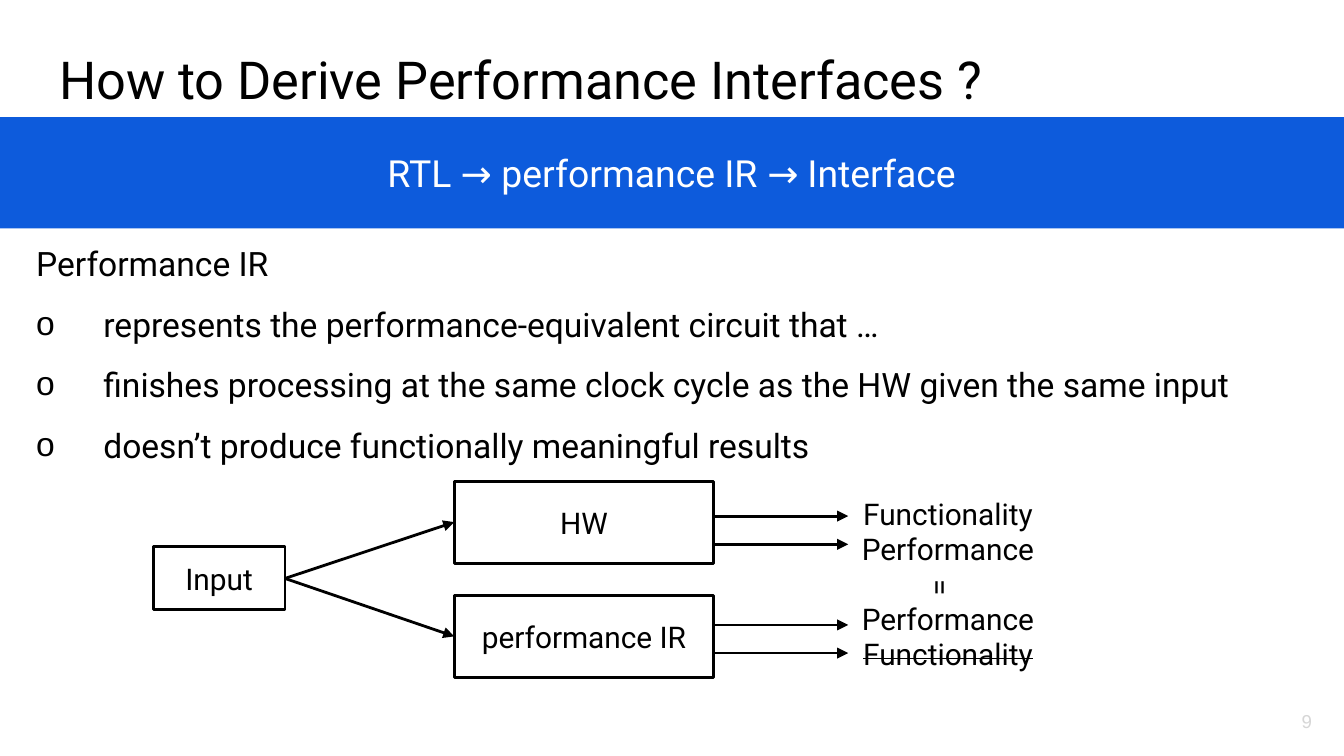
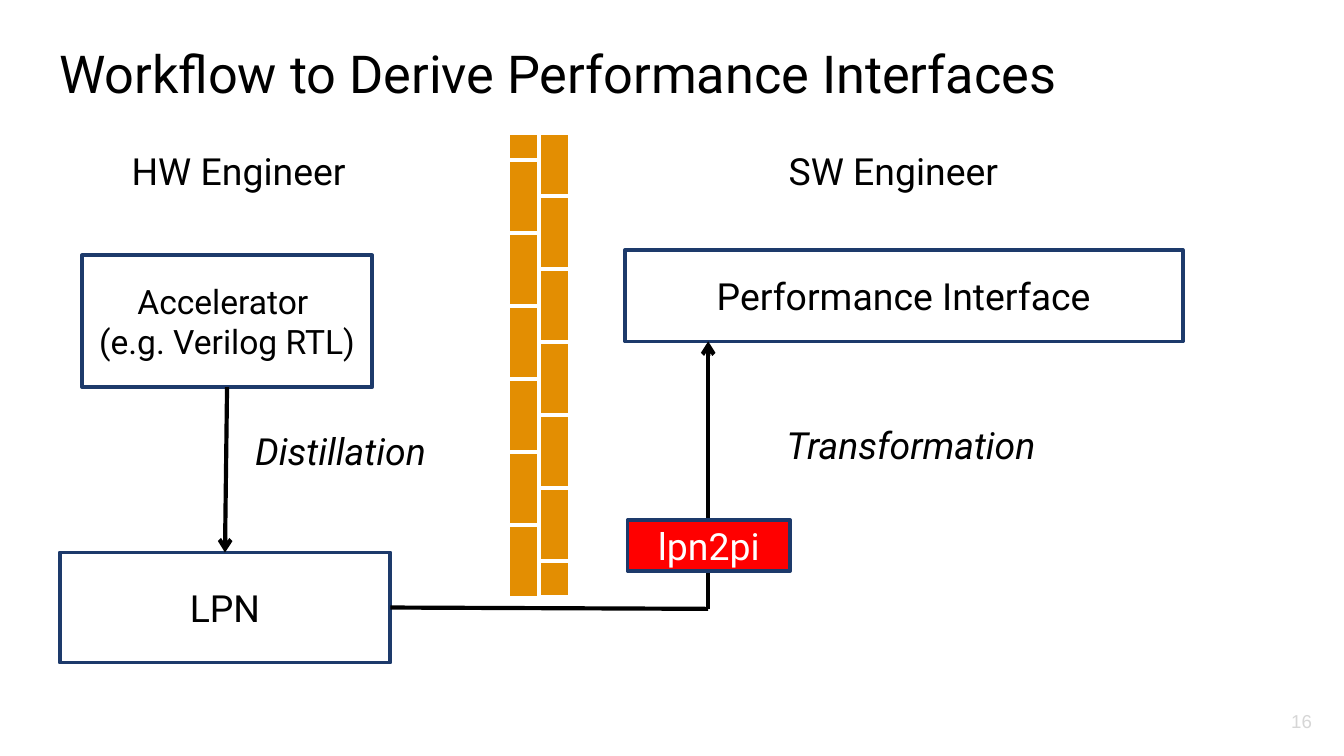
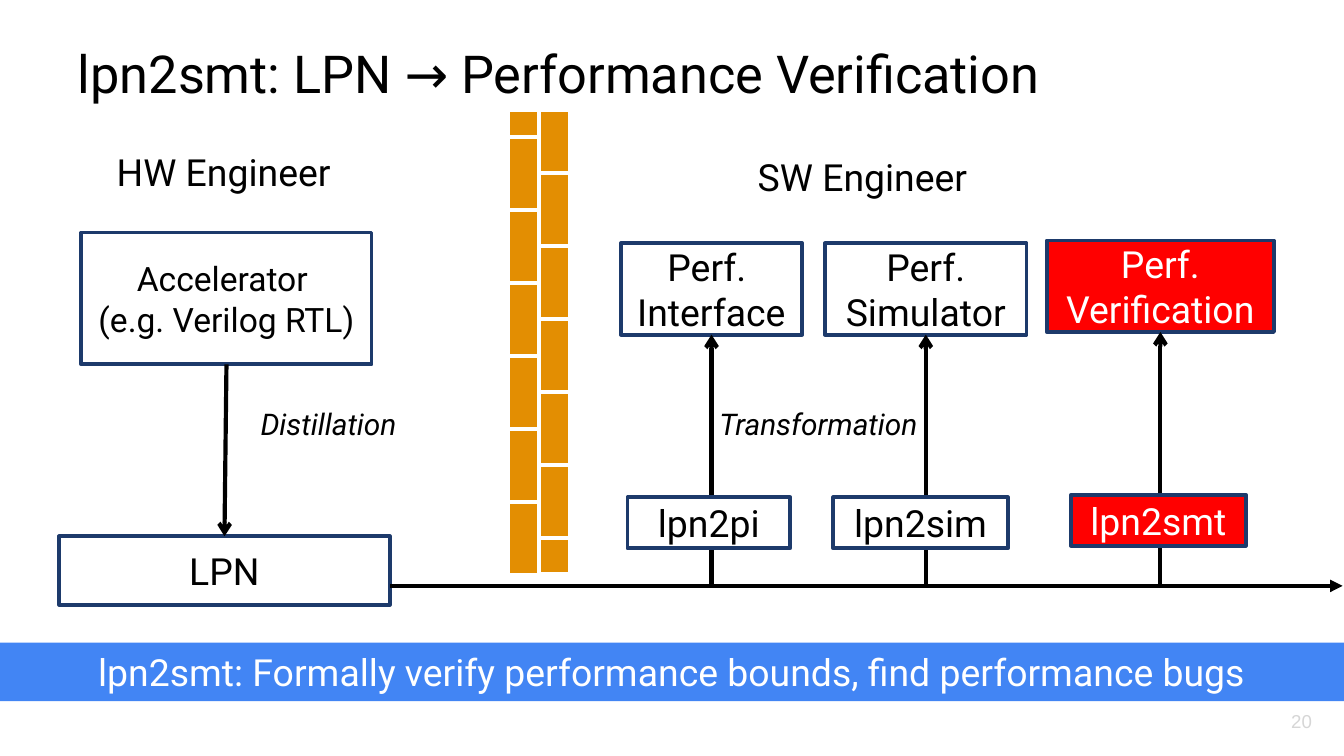
from dataclasses import dataclass

import lxml.etree
import pptx
import pptx.dml.color
import pptx.enum.shapes
import pptx.enum.text
import pptx.oxml.ns
import pptx.util

Pt = pptx.util.Pt
Align = pptx.enum.text.PP_ALIGN
Anchor = pptx.enum.text.MSO_ANCHOR
qn = pptx.oxml.ns.qn


@dataclass(frozen=True)
class Theme:
    font: str = "Roboto"
    number_font: str = "Arial"
    black: str = "000000"
    white: str = "FFFFFF"
    band: str = "0D5BDC"
    footer: str = "4285F4"
    outline: str = "1D3A6B"
    highlight: str = "FF0000"
    brick: str = "E38E02"
    number: str = "D6D6D6"
    title_size: float = 28
    large: float = 20
    body: float = 18
    small: float = 16
    number_size: float = 10
    thin: float = 1.5
    frame: float = 2
    thick: float = 2.25


THEME = Theme()
WIDE = (7.2, 7.2)
NORMAL = (7.2, 3.6)


@dataclass(frozen=True)
class Box:
    left: float
    top: float
    width: float
    height: float

    @property
    def right(self):
        return self.left + self.width

    @property
    def bottom(self):
        return self.top + self.height

    def inner(self, left, top, width, height):
        return Box(self.left + left, self.top + top, width, height)

    def lengths(self):
        return [Pt(value) for value in (self.left, self.top, self.width, self.height)]


def rgb(color):
    return pptx.dml.color.RGBColor.from_string(color)


def write(shape, text, size=THEME.large, color=THEME.black, font=THEME.font,
          align=Align.CENTER, anchor=Anchor.MIDDLE, margin=NORMAL, wrap=True,
          italic=False, strike=False):
    frame = shape.text_frame
    frame.auto_size = pptx.enum.text.MSO_AUTO_SIZE.NONE
    frame.word_wrap = wrap
    frame.vertical_anchor = anchor
    frame.margin_left = frame.margin_right = Pt(margin[0])
    frame.margin_top = frame.margin_bottom = Pt(margin[1])
    for index, line in enumerate(text.split("\n")):
        paragraph = frame.add_paragraph() if index else frame.paragraphs[0]
        paragraph.alignment = align
        paragraph.space_before = Pt(0)
        run = paragraph.add_run()
        run.text = line
        run.font.name = font
        run.font.size = Pt(size)
        run.font.color.rgb = rgb(color)
        run.font.italic = italic
        if strike:
            run._r.get_or_add_rPr().set("strike", "sngStrike")
    return shape


def add_label(slide, box, text, rotation=0, **text_format):
    shape = slide.shapes.add_textbox(*box.lengths())
    shape.rotation = rotation
    return write(shape, text, **{"anchor": Anchor.TOP, **text_format})


def add_box(slide, box, text="", fill=None, line=THEME.outline, weight=THEME.frame,
            **text_format):
    shape = slide.shapes.add_shape(
        pptx.enum.shapes.MSO_SHAPE.RECTANGLE, *box.lengths())
    shape.shadow.inherit = False
    if fill:
        shape.fill.solid()
        shape.fill.fore_color.rgb = rgb(fill)
    else:
        shape.fill.background()
    if line:
        shape.line.color.rgb = rgb(line)
        shape.line.width = Pt(weight)
    else:
        shape.line.fill.background()
    if text:
        write(shape, text, **text_format)
    return shape


def add_line(slide, start, end, weight=THEME.thick, head=None, source=None, target=None):
    connector = slide.shapes.add_connector(
        pptx.enum.shapes.MSO_CONNECTOR.STRAIGHT, *[Pt(value) for value in start + end])
    if source:
        connector.begin_connect(*source)
    if target:
        connector.end_connect(*target)
    connector.line.color.rgb = rgb(THEME.black)
    connector.line.width = Pt(weight)
    if head:
        lxml.etree.SubElement(connector.line._get_or_add_ln(), qn("a:tailEnd"), type=head)
    lxml.etree.SubElement(connector._element.spPr, qn("a:effectLst"))
    return connector


def place(shape, box):
    shape.left, shape.top, shape.width, shape.height = box.lengths()


def start_slide(presentation, layout, title, number, box, indent=0):
    slide = presentation.slides.add_slide(presentation.slide_layouts[layout])
    place(slide.shapes.title, box)
    write(slide.shapes.title, title, size=THEME.title_size, align=Align.LEFT,
          anchor=Anchor.TOP, margin=WIDE)
    slide.shapes.title.text_frame.margin_left = Pt(WIDE[0] + indent)
    add_label(slide, Box(665.3, 367.2, 44.6, 38.2), number, size=THEME.number_size,
              color=THEME.number, font=THEME.number_font, align=Align.RIGHT,
              anchor=Anchor.MIDDLE, margin=WIDE)
    return slide


def fill_list(shape, box, heading, items):
    place(shape, box)
    write(shape, "\n".join([heading, *items]), size=THEME.body, align=Align.LEFT,
          anchor=Anchor.TOP)
    for index, paragraph in enumerate(shape.text_frame.paragraphs):
        properties = paragraph._p.get_or_add_pPr()
        indent = Pt(36) if index else 0
        properties.set("marL", str(indent))
        properties.set("indent", str(-indent))
        if index:
            paragraph.line_spacing = 1.5
            color = lxml.etree.SubElement(properties, qn("a:buClr"))
            lxml.etree.SubElement(color, qn("a:srgbClr"), val=THEME.black)
            lxml.etree.SubElement(properties, qn("a:buFont"), typeface=THEME.number_font)
            lxml.etree.SubElement(properties, qn("a:buChar"), char="o")
        else:
            lxml.etree.SubElement(properties, qn("a:buNone"))


def equivalence_diagram(slide, box):
    style = {"line": THEME.black, "weight": THEME.thin, "size": THEME.small, "margin": WIDE}
    label_style = {"size": THEME.small, "margin": WIDE}
    input_box = add_box(slide, box.inner(0, 35.2, 70.6, 33.8), "Input", **style)
    circuits = (
        ("HW", 0, 18.7, 0.7, ("Functionality", "Performance")),
        ("performance IR", 61.2, 15.8, -4.4, ("Performance", "Functionality")),
    )
    for name, top, arrow_top, label_top, outputs in circuits:
        area = box.inner(161.3, top, 139, 43.9)
        circuit = add_box(slide, area, name, **style)
        add_line(slide, (0, 0), (0, 0), weight=THEME.thin, head="triangle",
                 source=(input_box, 3), target=(circuit, 1))
        for index, output in enumerate(outputs):
            height = area.top + arrow_top + 15.1 * index
            add_line(slide, (area.right, height), (area.right + 72, height),
                     weight=THEME.thin, head="triangle")
            add_label(slide, area.inner(179.2, label_top + 18.7 * index, 170.6, 33.8),
                      output, strike=(name != "HW" and output == "Functionality"),
                      **label_style)
    add_label(slide, box.inner(336.9, 40.3, 170.6, 33.8), "=", rotation=90, **label_style)


def brick_wall(slide, box):
    columns = ([14.2] + [39.1] * 6, [33.6] + [39.1] * 5 + [19.4])
    width = box.width / len(columns)
    for index, heights in enumerate(columns):
        top = 0
        for height in heights:
            add_box(slide, box.inner(index * width, top, width, height),
                    fill=THEME.brick, line=THEME.white)
            top += height


def hardware_side(slide, box, heading_at, accelerator_top, lpn_height, note_at, note_size):
    add_label(slide, box.inner(*heading_at, 133.2, 31.7), "HW Engineer",
              align=Align.LEFT, wrap=False)
    accelerator = add_box(slide, box.inner(11.9, accelerator_top, 155.5, 70.6),
                          "Accelerator \n(e.g. Verilog RTL)", size=THEME.body)
    lpn = add_box(slide, box.inner(0, box.height - lpn_height, box.width, lpn_height), "LPN")
    add_line(slide, (0, 0), (0, 0), head="arrow", source=(accelerator, 2), target=(lpn, 0))
    add_label(slide, box.inner(*note_at), "Distillation", size=note_size, italic=True,
              align=Align.LEFT, wrap=False)
    return lpn


def interface_side(slide, box, lpn):
    corner = (box.left + 44.6, box.bottom)
    add_label(slide, box.inner(80.6, 0, 130.3, 31.7), "SW Engineer",
              align=Align.LEFT, wrap=False)
    add_box(slide, box.inner(0, 58.3, box.width, 49), "Performance Interface")
    add_line(slide, (0, 0), corner, source=(lpn, 3))
    add_line(slide, corner, (corner[0], box.top + 107.3), head="arrow")
    add_box(slide, box.inner(1.4, 203, 87.1, 27.4), "lpn2pi", fill=THEME.highlight,
            color=THEME.white)
    add_label(slide, box.inner(51.1, 146.9, 204.5, 31.7), "Transformation", italic=True)


def tools_side(slide, box):
    add_label(slide, box.inner(66.2, 0, 130.3, 31.7), "SW Engineer",
              align=Align.LEFT, wrap=False)
    tools = (
        ("Perf. \nInterface", "lpn2pi", 0, 97.2, 3.6, 87.1, False),
        ("Perf.\nSimulator", "lpn2sim", 109.4, 108, 113.8, 93.6, False),
        ("Perf.\nVerification", "lpn2smt", 228.2, 121.7, 241.2, 93.6, True),
    )
    for result, tool, result_left, result_width, tool_left, tool_width, is_new in tools:
        lift = 1.4 if is_new else 0
        color = THEME.white if is_new else THEME.black
        result_box = add_box(slide, box.inner(result_left, 51.1 - lift, result_width, 49),
                             result, fill=THEME.highlight if is_new else None, color=color)
        add_line(slide, (box.left + result_left + result_width / 2, box.bottom), (0, 0),
                 head="arrow", target=(result_box, 2))
        add_box(slide, box.inner(tool_left, 187.2 - lift, tool_width, 27.4), tool,
                fill=THEME.highlight if is_new else THEME.white, color=color)
    add_label(slide, box.inner(3.6, 134.6, 204.5, 26.6), "Transformation",
              size=THEME.small, italic=True)


def derive_slide(presentation):
    slide = start_slide(presentation, 1, "How to Derive Performance Interfaces ?", "9",
                        Box(24.5, 18, 695.5, 45.4))
    fill_list(slide.placeholders[1], Box(12.2, 126.7, 698.4, 123.8), "Performance IR", (
        "represents the performance-equivalent circuit that …",
        "finishes processing at the same clock cycle as the HW given the same input",
        "doesn’t produce functionally meaningful results",
    ))
    add_box(slide, Box(0, 62.8, 720, 59.6), "RTL → performance IR → Interface",
            fill=THEME.band, line=None, color=THEME.white)
    equivalence_diagram(slide, Box(82.1, 257.8, 511, 105.1))


def workflow_slide(presentation):
    slide = start_slide(presentation, 5, "Workflow to Derive Performance Interfaces", "16",
                        Box(24.5, 15.1, 671, 45.4))
    lpn = hardware_side(slide, Box(32, 75.6, 177.1, 279.4), (31.4, 0), 61.2, 59,
                        (97.6, 150.5, 109.4, 31.7), THEME.large)
    interface_side(slide, Box(334.8, 75.6, 298.8, 250.6), lpn)
    brick_wall(slide, Box(272.2, 71.5, 33.2, 248.8))


def verification_slide(presentation):
    slide = start_slide(presentation, 5, "lpn2smt: LPN → Performance Verification", "20",
                        Box(24.5, 15.1, 671, 45.4), indent=10)
    hardware = Box(31.7, 75.6, 177.1, 248.4)
    hardware_side(slide, hardware, (23.7, 0.7), 49, 36.7,
                  (100.8, 138.2, 90, 26.6), THEME.small)
    software = Box(332.6, 79.2, 350, 234.7)
    add_line(slide, (hardware.right, software.bottom), (719.3, software.bottom),
             head="triangle")
    tools_side(slide, software)
    brick_wall(slide, Box(272.2, 59.2, 33.2, 248.8))
    add_box(slide, Box(0, 344.2, 720, 31.5),
            "lpn2smt: Formally verify performance bounds, find performance bugs",
            fill=THEME.footer, line=None, color=THEME.white)


def main():
    presentation = pptx.Presentation()
    presentation.slide_width = Pt(720)
    presentation.slide_height = Pt(405)
    derive_slide(presentation)
    workflow_slide(presentation)
    verification_slide(presentation)
    presentation.save("out.pptx")


if __name__ == "__main__":
    main()
